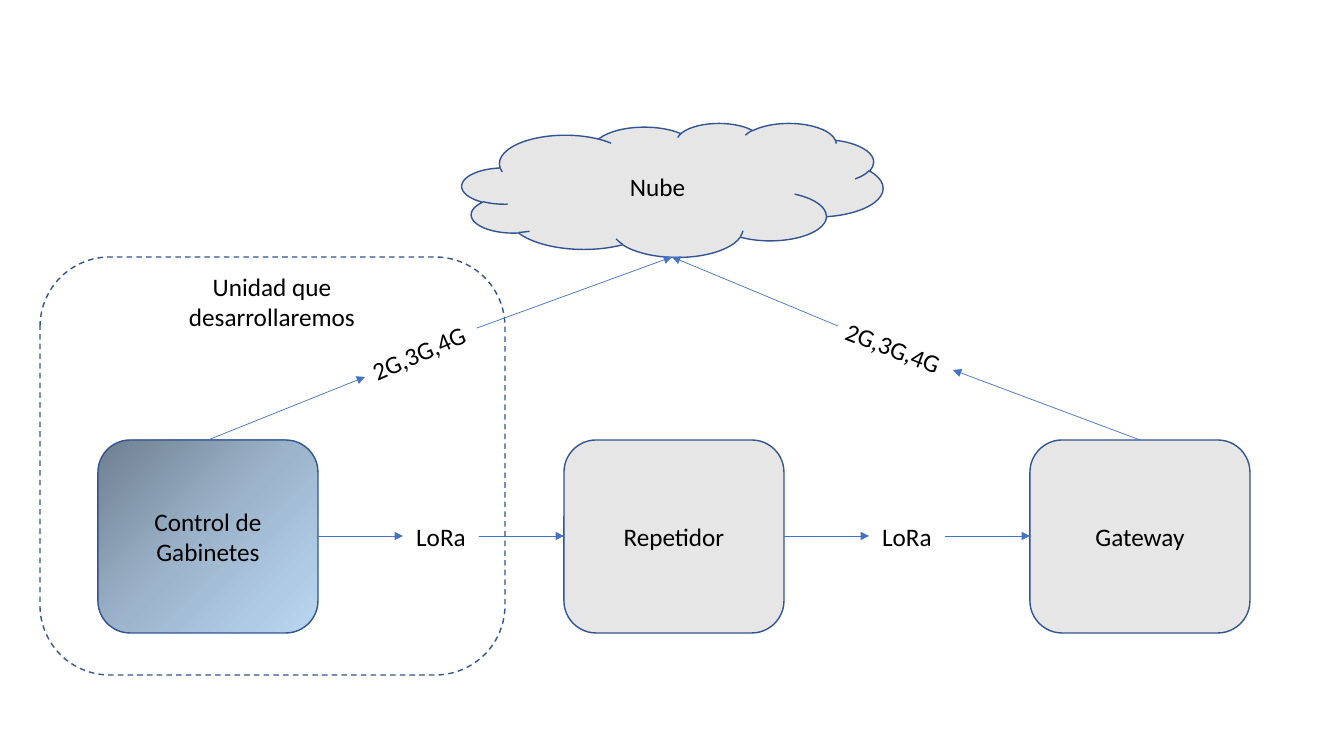
"""Builds the slide of cabinet control, repeater and gateway linked to the cloud."""
import copy

import pptx
import pptx.dml.color
import pptx.enum.dml
import pptx.enum.shapes
import pptx.enum.text
import pptx.oxml
import pptx.oxml.ns
import pptx.util

PX = 914400 / 100.8
COLORS = {"text": "000000", "node": "E7E6E6", "outline": "325491", "arrow": "4472C4",
          "dark": "6E7F8F", "middle": "9DB5CC", "light": "BAD7F2"}
SHAPES = pptx.enum.shapes.MSO_SHAPE
ANCHORS = pptx.enum.text.MSO_ANCHOR
ALIGNS = pptx.enum.text.PP_ALIGN


def rgb(name):
    return pptx.dml.color.RGBColor.from_string(COLORS[name])


def write(holder, wording, align=ALIGNS.CENTER, anchor=ANCHORS.MIDDLE):
    frame = holder.text_frame
    frame.word_wrap = True
    frame.vertical_anchor = anchor
    frame.paragraphs[0].alignment = align
    run = frame.paragraphs[0].add_run()
    run.text = wording
    run.font.name = "Calibri"
    run.font.size = pptx.util.Pt(18)
    run.font.color.rgb = rgb("text")


deck = pptx.Presentation()
deck.slide_width = round(1344 * PX)
deck.slide_height = round(756 * PX)
slide = deck.slides.add_slide(deck.slide_layouts[6])

BOX_LEFT, BOX_TOP, BOX_WIDTH, BOX_HEIGHT = 98, 440, 220, 193
STEP, LORA_WIDTH, LORA_GAP, LORA_Y = 466, 76, 85, 536
CLOUD_X, CLOUD_BOTTOM = 672, 257

nodes = [(name, SHAPES.ROUNDED_RECTANGLE, BOX_LEFT + i * STEP, BOX_TOP, BOX_WIDTH, BOX_HEIGHT)
         for i, name in enumerate(["Control de Gabinetes", "Repetidor", "Gateway"])]
nodes.append(("", SHAPES.ROUNDED_RECTANGLE, 40, CLOUD_BOTTOM, 465, 418))
nodes.append(("Nube", SHAPES.CLOUD, 462, 123, 421, 134))

for wording, preset, *place in nodes:
    node = slide.shapes.add_shape(preset, *[round(v * PX) for v in place])
    node.shadow.inherit = False
    node.line.color.rgb = rgb("outline")
    node.line.width = pptx.util.Pt(1)
    if not wording:
        node.fill.background()
        node.line.dash_style = pptx.enum.dml.MSO_LINE.DASH
        continue
    write(node, wording)
    if wording == "Control de Gabinetes":
        node.fill.gradient()
        node.fill.gradient_angle = 315
        stop_list = node._element.spPr.find(".//" + pptx.oxml.ns.qn("a:gsLst"))
        stop_list.insert(1, copy.deepcopy(stop_list[0]))
        for stop, shade, position in zip(node.fill.gradient_stops,
                                         ["dark", "middle", "light"], [0, 0.5, 1]):
            stop.color.rgb = rgb(shade)
            stop.position = position
    else:
        node.fill.solid()
        node.fill.fore_color.rgb = rgb("node")

labels = [
    ("Unidad que desarrollaremos", 162, 266, 220, 72, 0, ALIGNS.CENTER, ANCHORS.TOP),
    ("2G,3G,4G", 359, 332, 122, 40, 336.2, ALIGNS.LEFT, ANCHORS.TOP),
    ("2G,3G,4G", 834, 328, 122, 40, 20.9, ALIGNS.LEFT, ANCHORS.TOP),
]
links = [
    (208, BOX_TOP, 365, 377),
    (477, 328, CLOUD_X, CLOUD_BOTTOM),
    (1140, BOX_TOP, 953, 370),
    (838, 326, CLOUD_X, CLOUD_BOTTOM),
]
for i in range(2):
    box_right = BOX_LEFT + BOX_WIDTH + i * STEP
    lora_left = box_right + LORA_GAP
    lora_right = lora_left + LORA_WIDTH
    labels.append(("LoRa", lora_left, LORA_Y - 20, LORA_WIDTH, 40, 0,
                   ALIGNS.CENTER, ANCHORS.MIDDLE))
    links.append((box_right, LORA_Y, lora_left, LORA_Y))
    links.append((lora_right, LORA_Y, lora_right + LORA_GAP, LORA_Y))

for wording, left, top, width, height, turn, align, anchor in labels:
    label = slide.shapes.add_textbox(*[round(v * PX) for v in (left, top, width, height)])
    label.rotation = turn
    write(label, wording, align, anchor)

for ends in links:
    link = slide.shapes.add_connector(pptx.enum.shapes.MSO_CONNECTOR.STRAIGHT,
                                      *[round(v * PX) for v in ends])
    link.line.color.rgb = rgb("arrow")
    link.line.width = pptx.util.Pt(0.5)
    head = pptx.oxml.parse_xml(f'<a:tailEnd {pptx.oxml.ns.nsdecls("a")} type="triangle"/>')
    link.line._get_or_add_ln().append(head)
    link._element.spPr.append(
        pptx.oxml.parse_xml(f'<a:effectLst {pptx.oxml.ns.nsdecls("a")}/>'))

deck.save("out.pptx")
